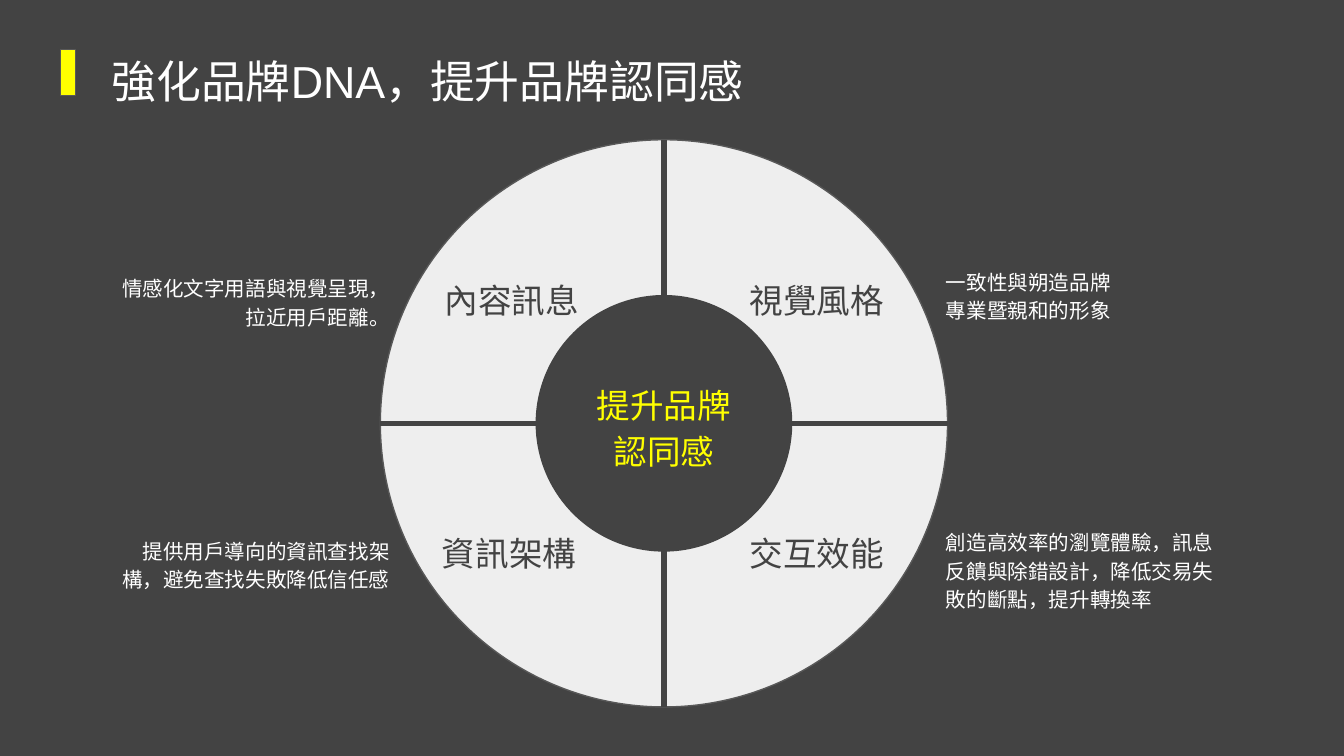
from pptx import Presentation
from pptx.dml.color import RGBColor
from pptx.enum.shapes import MSO_CONNECTOR, MSO_SHAPE
from pptx.enum.text import MSO_ANCHOR, MSO_AUTO_SIZE, PP_ALIGN
from pptx.oxml.ns import qn
from pptx.util import Inches, Pt
from lxml.etree import SubElement

DARK = RGBColor(0x43, 0x43, 0x43)
LIGHT = RGBColor(0xEE, 0xEE, 0xEE)
OUTLINE = RGBColor(0x58, 0x58, 0x58)
YELLOW = RGBColor(0xFF, 0xFF, 0x00)
WHITE = RGBColor(0xFF, 0xFF, 0xFF)
FONT = "Arial"
WIDTH = 10
HEIGHT = WIDTH * 9 / 16


def write_text(box, lines, size=11, color=WHITE, align=PP_ALIGN.LEFT):
    """Fill a text box or placeholder, one paragraph per line."""
    frame = box.text_frame
    frame.word_wrap = True
    frame.auto_size = MSO_AUTO_SIZE.NONE
    frame.vertical_anchor = MSO_ANCHOR.TOP
    frame.margin_left = frame.margin_right = Inches(0.1)
    frame.margin_top = frame.margin_bottom = Inches(0.1)
    for index, line in enumerate(lines):
        para = frame.paragraphs[0] if index == 0 else frame.add_paragraph()
        para.alignment = align
        para.line_spacing = 1.15
        para.space_before = Pt(0)
        # Keep punctuation inside the margins
        para._p.get_or_add_pPr().set("hangingPunct", "0")
        span = para.add_run()
        span.text = line
        span.font.name = FONT
        span.font.size = Pt(size)
        span.font.color.rgb = color


def add_text(page, left, top, width, height, lines, **text_format):
    box = page.shapes.add_textbox(Inches(left), Inches(top), Inches(width), Inches(height))
    write_text(box, lines, **text_format)


def add_filled(page, kind, left, top, width, height, fill, outline=None):
    shape = page.shapes.add_shape(kind, Inches(left), Inches(top), Inches(width), Inches(height))
    shape.shadow.inherit = False
    shape.fill.solid()
    shape.fill.fore_color.rgb = fill
    if outline is None:
        shape.line.fill.background()
    else:
        shape.line.color.rgb = outline
        shape.line.width = Pt(0.75)


def add_divider(page, x1, y1, x2, y2):
    line = page.shapes.add_connector(
        MSO_CONNECTOR.STRAIGHT, Inches(x1), Inches(y1), Inches(x2), Inches(y2))
    line.line.color.rgb = DARK
    line.line.width = Pt(3)
    SubElement(line._element.spPr, qn("a:effectLst"))


def add_heading(page, left, top, width, height):
    """Title with a yellow marker at its left."""
    title = page.shapes.title
    title.left, title.top = Inches(left + 0.28), Inches(top)
    title.width, title.height = Inches(width - 0.28), Inches(height)
    write_text(title, ["強化品牌DNA，提升品牌認同感"], size=24)
    # Bring the title in front of the backdrop
    title._element.getparent().append(title._element)
    add_filled(page, MSO_SHAPE.RECTANGLE, left, top + 0.13, 0.11, 0.34, YELLOW, OUTLINE)


def add_wheel(page, left, top, size):
    """Ring cut into four labelled quarters around a core message."""
    middle_x, middle_y = left + size / 2, top + size / 2
    add_filled(page, MSO_SHAPE.OVAL, left, top, size, size, LIGHT, OUTLINE)
    add_divider(page, left, middle_y, left + size, middle_y)
    add_divider(page, middle_x, top + size, middle_x, top)

    # Core
    core = 1.91
    add_filled(page, MSO_SHAPE.OVAL, middle_x - core / 2, middle_y - core / 2, core, core, DARK)
    add_text(page, middle_x - 0.66, middle_y - 0.43, 1.32, 0.95, ["提升品牌", "認同感"],
             size=18, color=YELLOW, align=PP_ALIGN.CENTER)

    # Quarter labels
    upper, lower = 0.9, 2.78
    for x, y, label in [
        (2.65, upper, "視覺風格"),
        (2.65, lower, "交互效能"),
        (0.38, upper, "內容訊息"),
        (0.36, lower, "資訊架構"),
    ]:
        add_text(page, left + x, top + y, 1.57, 0.55, [label], size=18, color=DARK)


def add_side_texts(page, left, top, right):
    """Explanations beside the wheel: left ones end at `left`, right ones start at `right`."""
    add_text(page, right, top, 1.81, 0.68, ["一致性與朔造品牌", "專業暨親和的形象"])
    add_text(page, right, top + 1.94, 2.21, 1.13,
             ["創造高效率的瀏覽體驗，訊息反饋與除錯設計，降低交易失敗的斷點，提升轉換率"])
    for y, width, words in [
        (0.05, 2.29, "情感化文字用語與視覺呈現，拉近用戶距離。"),
        (2.0, 2.21, "提供用戶導向的資訊查找架構，避免查找失敗降低信任感"),
    ]:
        add_text(page, left - width, top + y, width, 0.68, [words], align=PP_ALIGN.RIGHT)


def main():
    deck = Presentation()
    deck.slide_width, deck.slide_height = Inches(WIDTH), Inches(HEIGHT)
    page = deck.slides.add_slide(deck.slide_layouts[5])

    # Backdrop
    add_filled(page, MSO_SHAPE.RECTANGLE, 0, -0.03, WIDTH, 5.69, DARK)

    add_heading(page, 0.45, 0.24, 6.24, 0.66)
    add_wheel(page, 2.83, 1.04, 4.22)
    add_side_texts(page, left=3.0, top=1.88, right=6.94)
    deck.save("out.pptx")


if __name__ == "__main__":
    main()
